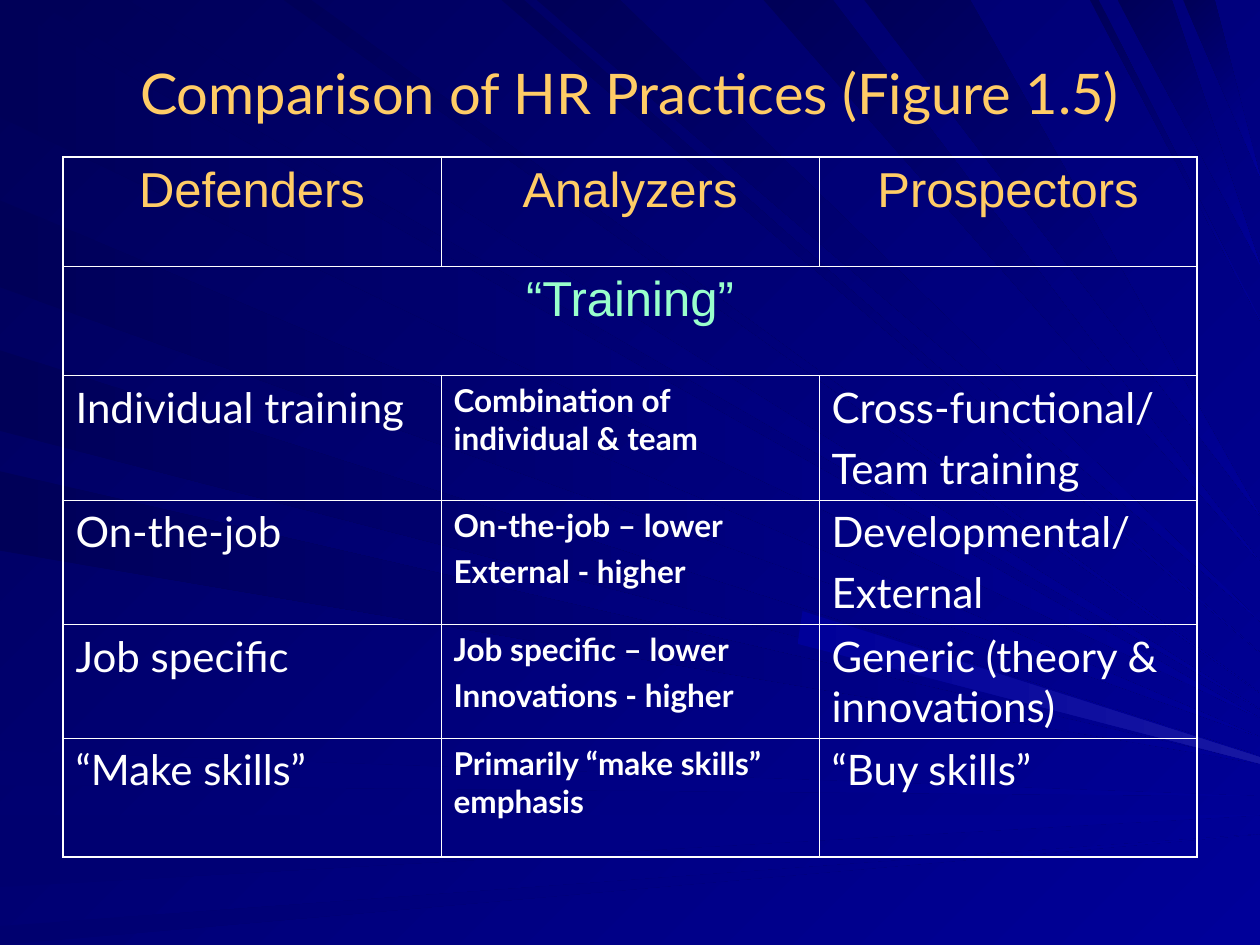
from lxml.etree import SubElement
from pptx import Presentation
from pptx.dml.color import RGBColor
from pptx.enum.text import MSO_ANCHOR as Anchor, PP_ALIGN as Align
from pptx.oxml.ns import qn
from pptx.util import Cm, Pt

WHITE = RGBColor(0xFF, 0xFF, 0xFF)
GOLD = RGBColor(0xFF, 0xCC, 0x66)
MINT = RGBColor(0x99, 0xFF, 0xCC)
MIDNIGHT = RGBColor(0, 0, 0x58)
DEEP = RGBColor(0, 0, 0x6F)
ROYAL = RGBColor(0, 0, 0x99)
GLOW = RGBColor(0x17, 0x17, 0xA2)

GRID_WIDTH = 1000  # ray corners lie on a grid of 1000 by 750
OUTER_LINE, INNER_LINE = Pt(1.08), Pt(0.45)

# where a ray starts and ends on its edge, and how far down its tip meets the right edge
LEFT_RAYS = [(2, 93, 570), (159, 228, 585), (278, 342, 600), (374, 437, 606),
             (596, 623, 632), (647, 704, 647), (735, 750, 662)]
TOP_RAYS = [(26, 101, 563), (225, 247, 550), (398, 416, 518), (426, 492, 493),
            (606, 661, 446), (686, 770, 409), (865, 872, 254), (887, 930, 210),
            (939, 964, 140)]
GLOW_CORNERS = [(637, 485), (1000, 601), (1000, 606), (633, 511)]

STRATEGIES = ["Defenders", "Analyzers", "Prospectors"]
TOPIC = "“Training”"
PRACTICES = [
    ["Individual training", "Combination of individual & team",
     "Cross-functional/\nTeam training"],
    ["On-the-job", "On-the-job – lower\nExternal - higher", "Developmental/\nExternal"],
    ["Job specific", "Job specific – lower\nInnovations - higher",
     "Generic (theory & innovations)"],
    ["“Make skills”", "Primarily “make skills” emphasis", "“Buy skills”"],
]
ROW_HEIGHTS = [Cm(2.2), Cm(2.2), Cm(2.51), Cm(2.51), Cm(2.28), Cm(2.4)]


def fill_gradient(fill, start, end, angle):
    fill.gradient()
    fill.gradient_angle = -angle % 360
    for stop, colour, position in zip(fill.gradient_stops, (start, end), (0, 1)):
        stop.color.rgb = colour
        stop.position = position


def draw_rays(slide, left, top, width):
    """Fan of light rays behind everything else on the slide."""
    rays = [(MIDNIGHT if tip < 620 else DEEP, ROYAL, 0,
             [(0, start), (GRID_WIDTH, tip), (0, end)]) for start, end, tip in LEFT_RAYS]
    rays += [(MIDNIGHT, ROYAL, 45, [(start, 0), (GRID_WIDTH, tip), (end, 0)])
             for start, end, tip in TOP_RAYS]
    rays.append((ROYAL, GLOW, 0, GLOW_CORNERS))

    group = slide.shapes.add_group_shape()
    for near, far, angle, corners in rays:
        builder = group.shapes.build_freeform(*corners[0], scale=width / GRID_WIDTH)
        builder.add_line_segments(corners[1:], close=True)
        ray = builder.convert_to_shape(left, top)
        ray.shadow.inherit = False
        ray.line.fill.background()
        fill_gradient(ray.fill, near, far, angle)
    slide.shapes._spTree.insert(2, group._element)


def format_text(frame, size, colour, font="Lato", align=Align.LEFT, bold=False, gap=0):
    """Style every paragraph; gap separates each one from the one before it."""
    for index, paragraph in enumerate(frame.paragraphs):
        paragraph.alignment = align
        paragraph.space_before = Pt(gap if index else 0)
        for run in paragraph.runs:
            run.font.name = font
            run.font.size = Pt(size)
            run.font.bold = bold
            run.font.color.rgb = colour


def place_title(slide, left, top, width, height):
    title = slide.shapes.title
    title.left, title.top, title.width, title.height = left, top, width, height
    frame = title.text_frame
    frame.text = "Comparison of HR Practices (Figure 1.5)"
    frame.word_wrap = True
    frame.vertical_anchor = Anchor.MIDDLE
    format_text(frame, 32, GOLD, align=Align.CENTER)


def draw_borders(cell, outer_sides):
    properties = cell._tc.get_or_add_tcPr()
    for side in "LRTB":
        width = OUTER_LINE if side in outer_sides else INNER_LINE
        line = SubElement(properties, qn(f"a:ln{side}"), w=str(width))
        paint = SubElement(line, qn("a:solidFill"))
        SubElement(paint, qn("a:srgbClr"), val=str(WHITE))


def add_practices_table(slide, left, top, width):
    rows = [STRATEGIES, [TOPIC, "", ""], *PRACTICES]
    last_row, last_column = len(rows) - 1, len(STRATEGIES) - 1
    table = slide.shapes.add_table(len(rows), len(STRATEGIES), left, top,
                                   width, sum(ROW_HEIGHTS)).table
    table.first_row = table.horz_banding = False
    for row, height in zip(table.rows, ROW_HEIGHTS):
        row.height = height
    table.cell(1, 0).merge(table.cell(1, last_column))

    for r, texts in enumerate(rows):
        for c, text in enumerate(texts):
            cell = table.cell(r, c)
            if not cell.is_spanned:
                edges = {"L": c == 0, "R": c + cell.span_width - 1 == last_column,
                         "T": r == 0, "B": r == last_row}
                draw_borders(cell, [side for side, outer in edges.items() if outer])
                cell.text_frame.text = text
                if r < 2:
                    format_text(cell.text_frame, 28, MINT if r else GOLD, "Arial", Align.CENTER)
                elif c == 1:
                    format_text(cell.text_frame, 18, WHITE, bold=True, gap=4.5)
                else:
                    format_text(cell.text_frame, 24, WHITE, gap=6)
            cell.fill.background()


def main():
    presentation = Presentation()
    presentation.slide_width, presentation.slide_height = Cm(25.4), Cm(19.05)
    slide = presentation.slides.add_slide(presentation.slide_layouts[5])
    fill_gradient(slide.background.fill, MIDNIGHT, ROYAL, 45)
    draw_rays(slide, 0, 0, presentation.slide_width)
    place_title(slide, Cm(1.27), Cm(0.76), Cm(22.86), Cm(2.18))
    add_practices_table(slide, Cm(1.27), Cm(3.17), Cm(22.86))
    presentation.save("out.pptx")


if __name__ == "__main__":
    main()
